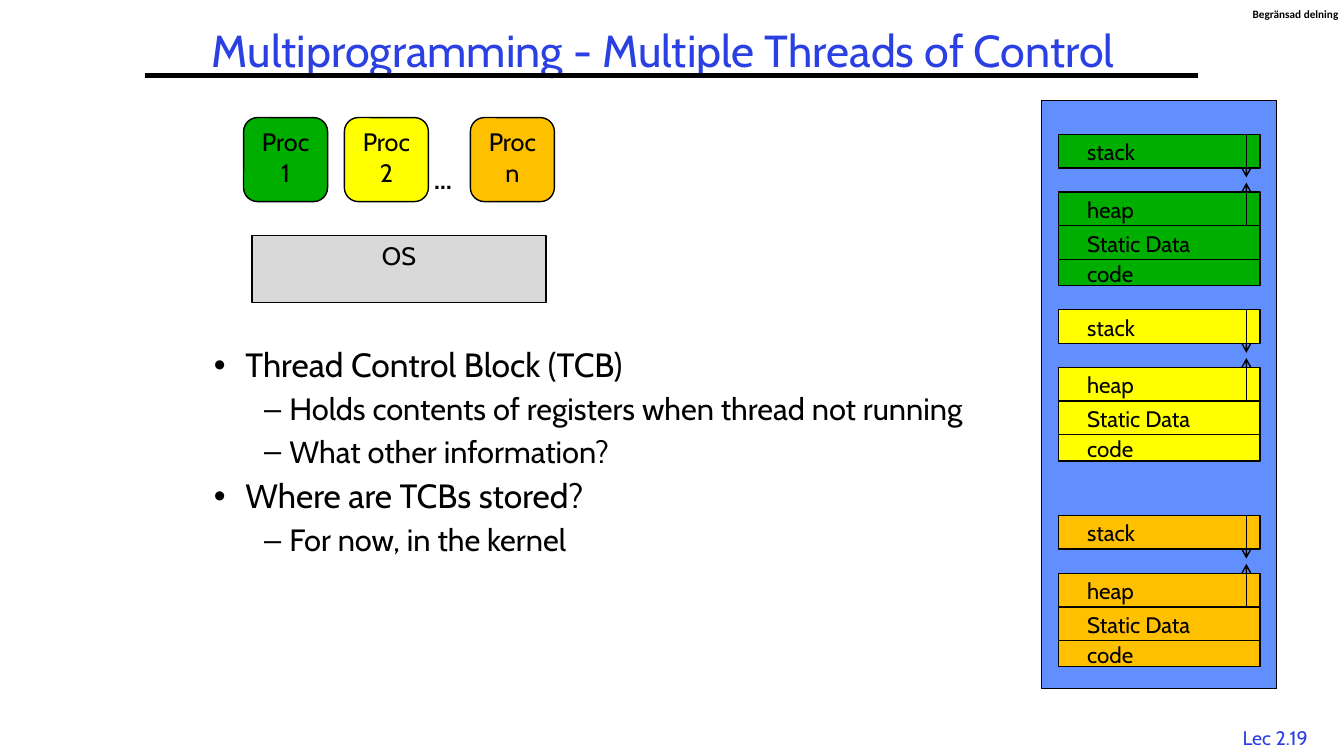
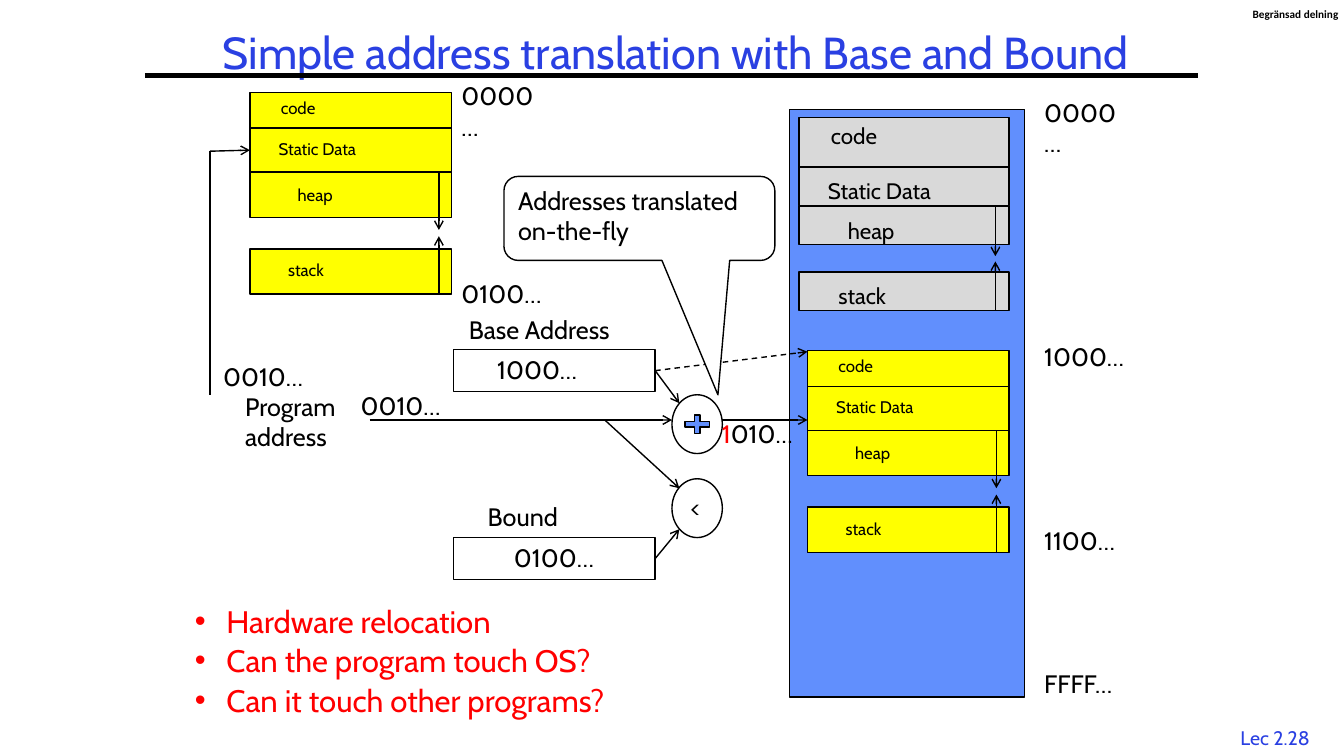
from pptx import Presentation, util as u
from pptx.dml.color import RGBColor
from pptx.enum import dml, shapes, text
from pptx.oxml.ns import qn
from lxml import etree

INK = {"ink": "000000", "blue": "2A40E2", "mem": "618FFD", "grey": "D9D9D9",
       "green": "00AE00", "yellow": "FFFF00", "orange": "FFC000",
       "red": "FF0000", "white": "FFFFFF"}
KIND = shapes.MSO_SHAPE
MID = text.PP_ALIGN.CENTER
TOP = text.MSO_ANCHOR.TOP

# Memory rows: label, top, height, label indent, label drop
STACK = [("stack", 0, 32, 18, -1), ("heap", 55, 32, 18, -1),
         ("Static Data", 87, 32, 18, -1), ("code", 119, 25, 18, -4)]
SMALL = [("code", 0, 34, 20, 0), ("Static Data", 34, 42, 18, 5),
         ("heap", 76, 43, 36, 7), ("stack", 149, 43, 27, 6)]
LARGE = [("code", 0, 47, 21, 0), ("Static Data", 47, 37, 18, 5),
         ("heap", 84, 37, 37, 6), ("stack", 147, 37, 28, 5)]


def px(n):
    return u.Emu(n * 9525)


def rgb(name):
    return RGBColor.from_string(INK[name])


def write(frame, paras, size=18, color="ink", font="Cabin", bold=None,
          align=None, anchor=TOP, lead=None):
    """Fill a frame; a paragraph is a string or a list of (text, color)."""
    frame.word_wrap = True
    frame.auto_size = text.MSO_AUTO_SIZE.NONE
    frame.vertical_anchor = anchor
    paras = [paras] if isinstance(paras, str) else paras
    for i, para in enumerate(paras):
        p = frame.paragraphs[0] if i == 0 else frame.add_paragraph()
        p.alignment = align
        p.line_spacing = lead
        for words, hue in [(para, color)] if isinstance(para, str) else para:
            run = p.add_run()
            run.text = words
            run.font.size = u.Pt(size)
            run.font.name = font
            run.font.bold = bold
            run.font.color.rgb = rgb(hue)


class Deck:
    def __init__(self):
        self.prs = Presentation()
        self.prs.slide_width, self.prs.slide_height = px(1280), px(720)

    def page(self, title, box, num):
        """Start a slide with title, rule, marking and page label."""
        self.slide = self.prs.slides.add_slide(self.prs.slide_layouts[1])
        self.items = self.slide.shapes
        self.label(1160, 687, 109, num, size=14, color="blue", align=MID)
        self.line(138, 72, 1141, 72, width=3, head=False)
        mark = self.label(1193, 7, 87, "Begränsad delning", high=12,
                          size=8, font="Calibri", bold=True).text_frame
        mark.margin_left = mark.margin_right = 0
        mark.margin_top = mark.margin_bottom = 0
        self.place(self.items.title, box)
        write(self.items.title.text_frame, title, size=32, color="blue",
              align=MID, anchor=text.MSO_ANCHOR.MIDDLE, lead=0.9)

    def place(self, item, box):
        item.left, item.top, item.width, item.height = map(px, box)

    def bullets(self, box, rows, sizes=(24, 22), color="ink", lead=0.9):
        """Rows are (level, text); sizes go by level."""
        body = self.slide.placeholders[1]
        self.place(body, box)
        frame = body.text_frame
        write(frame, [[] for _ in rows])
        for i, (p, (level, words)) in enumerate(zip(frame.paragraphs, rows)):
            p.level = level
            p.line_spacing = lead
            p.space_before = u.Pt(0.3 * sizes[level] if i else 0)
            props = p._p.get_or_add_pPr()
            left, hang = ((30, 30), (72, 24))[level]
            props.set("marL", str(px(left)))
            props.set("indent", str(-px(hang)))
            etree.SubElement(props, qn("a:buFont")).set("typeface", "Arial")
            etree.SubElement(props, qn("a:buChar")).set("char", "•–"[level])
            run = p.add_run()
            run.text = words
            run.font.size = u.Pt(sizes[level])
            run.font.name = "Cabin"
            run.font.color.rgb = rgb(color)

    def label(self, x, y, wide, words, high=38, **style):
        box = self.items.add_textbox(px(x), px(y), px(wide), px(high))
        write(box.text_frame, words, **style)
        return box

    def shape(self, kind, x, y, wide, high, fill=None, words=None, **style):
        item = self.items.add_shape(kind, px(x), px(y), px(wide), px(high))
        item.shadow.inherit = False
        if fill:
            item.fill.solid()
            item.fill.fore_color.rgb = rgb(fill)
        else:
            item.fill.background()
        item.line.color.rgb = rgb("ink")
        item.line.width = u.Pt(1)
        if words:
            write(item.text_frame, words, **style)
        return item

    def line(self, x1, y1, x2, y2, width=1, head=True, dash=False):
        link = self.items.add_connector(shapes.MSO_CONNECTOR.STRAIGHT,
                                        px(x1), px(y1), px(x2), px(y2))
        link.line.color.rgb = rgb("ink")
        link.line.width = u.Pt(width)
        if dash:
            link.line.dash_style = dml.MSO_LINE.DASH
        if head:
            end = etree.SubElement(link.line._get_or_add_ln(), qn("a:tailEnd"))
            end.set("type", "arrow")
        etree.SubElement(link._element.spPr, qn("a:effectLst"))

    def memory(self, x, y, wide, fill, rows, size, arrows, inset):
        """Draw one process image with its growth arrows."""
        for words, top, high, dx, dy in rows:
            self.shape(KIND.RECTANGLE, x, y + top, wide, high, fill)
            self.label(x + dx, y + top + dy, 130, words, size=size)
        for start, end in arrows:
            at = x + wide - inset
            self.line(at, y + start, at, y + end)


def threads(deck):
    deck.page("Multiprogramming - Multiple Threads of Control",
              (168, 11, 928, 78), "Lec 2.19")
    deck.bullets((194, 327, 785, 234), [
        (0, "Thread Control Block (TCB)"),
        (1, "Holds contents of registers when thread not running"),
        (1, "What other information?"),
        (0, "Where are TCBs stored?"),
        (1, "For now, in the kernel")])

    # Processes above the OS
    deck.shape(KIND.RECTANGLE, 240, 224, 280, 64, "grey", "OS", align=MID)
    for x, fill, name in [(232, "green", "Proc 1"), (328, "yellow", "Proc 2"),
                          (448, "orange", "Proc n")]:
        deck.shape(KIND.ROUNDED_RECTANGLE, x, 112, 80, 80, fill, name,
                   align=MID)
    deck.label(404, 152, 43, "…", bold=True)

    # Memory with one image for each process
    deck.shape(KIND.RECTANGLE, 992, 96, 224, 560, "mem")
    for y, fill in [(128, "green"), (295, "yellow"), (491, "orange")]:
        deck.memory(1008, y, 192, fill, STACK, 16, [(0, 41), (87, 46)], 13)


def bounds(deck):
    deck.page("Simple address translation with Base and Bound",
              (160, 24, 968, 56), "Lec 2.28")

    # Physical memory and the program's own view
    deck.shape(KIND.RECTANGLE, 752, 104, 224, 560, "mem")
    deck.memory(761, 112, 200, "grey", LARGE, 16, [(184, 137), (84, 132)], 13)
    for x, y in [(769, 334), (238, 88)]:
        deck.memory(x, y, 192, "yellow", SMALL, 12,
                    [(192, 137), (76, 131)], 12)

    # Base and bound registers, adder and comparator
    for y in (333, 512):
        deck.shape(KIND.RECTANGLE, 432, y, 192, 40)
    deck.shape(KIND.MATH_PLUS, 648, 392, 32, 24, "mem")
    for y in (376, 456):
        deck.shape(KIND.OVAL, 640, y, 48, 56)
    deck.label(648, 464, 40, "<")

    # Address flow
    deck.line(624, 353, 769, 335, dash=True)
    deck.line(200, 376, 200, 144, head=False)
    for ends in [(200, 144, 238, 143), (352, 400, 640, 400),
                 (688, 400, 769, 400), (624, 353, 647, 384),
                 (576, 400, 647, 465), (624, 532, 647, 504)]:
        deck.line(*ends)

    # Addresses and names
    for x, y, words in [
            (985, 88, "0000…"), (985, 320, "1000…"), (985, 496, "1100…"),
            (985, 632, "FFFF…"), (430, 72, "0000…"), (430, 260, "0100…"),
            (464, 333, "1000…"), (480, 512, "0100…"), (203, 339, "0010…"),
            (334, 367, "0010…"),
            (678, 394, [[("1", "red"), ("010…", "ink")]])]:
        deck.label(x, y, 98, words)
    deck.label(224, 368, 112, ["Program", "address"], high=68)
    deck.label(437, 295, 169, "Base Address")
    deck.label(455, 473, 105, "Bound")

    # Callout and questions
    note = deck.shape(KIND.ROUNDED_RECTANGULAR_CALLOUT, 480, 168, 258, 80,
                      "white", ["Addresses translated", "on-the-fly"],
                      align=text.PP_ALIGN.LEFT)
    for i, value in enumerate((0.29, 2.1, 0.17)):
        note.adjustments[i] = value
    deck.bullets((176, 576, 560, 120), [
        (0, "Hardware relocation"),
        (0, "Can the program touch OS?"),
        (0, "Can it touch other programs?")],
        sizes=(22.2,), color="red", lead=0.8)


def main():
    deck = Deck()
    threads(deck)
    bounds(deck)
    deck.prs.save("out.pptx")


if __name__ == "__main__":
    main()
